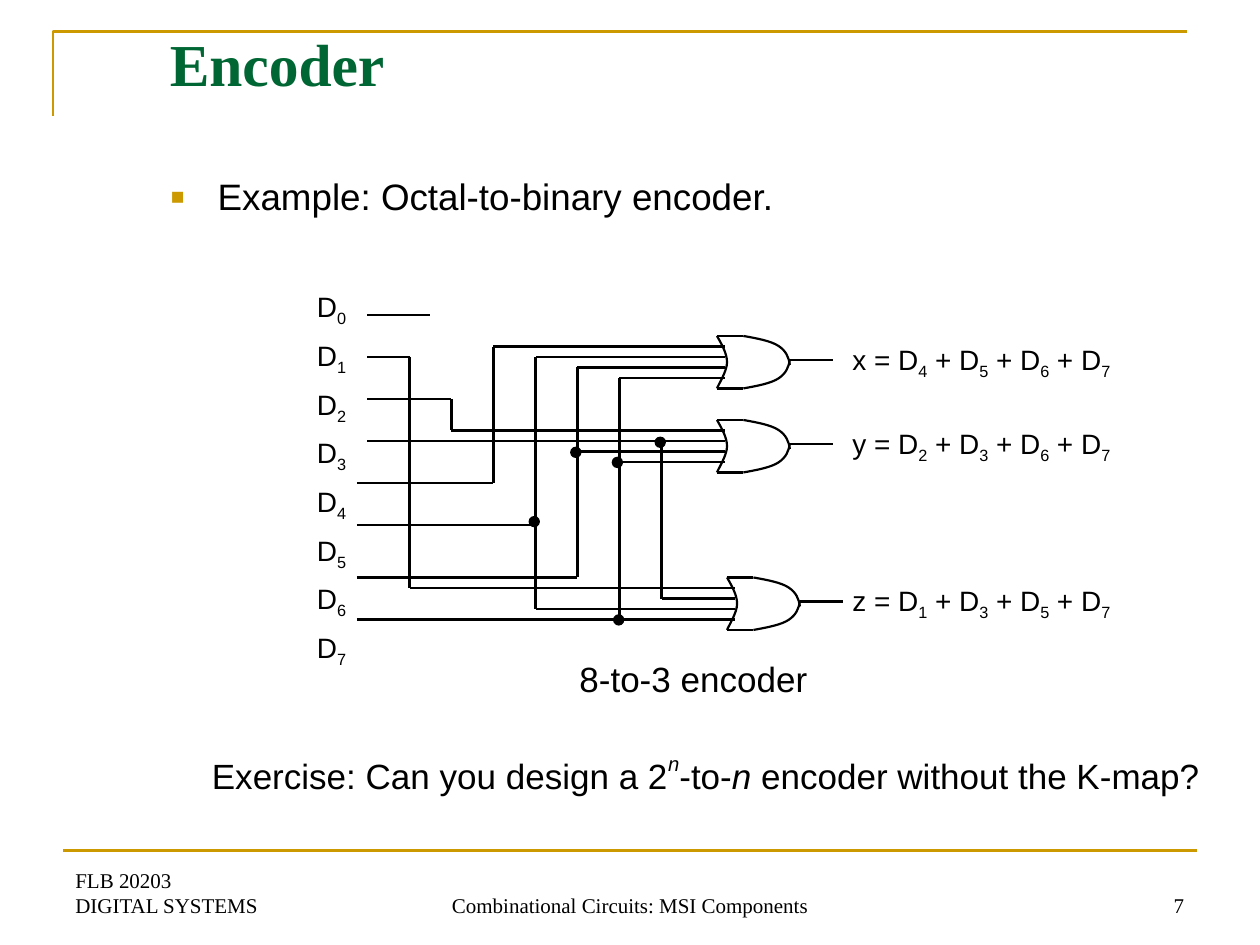
import pptx
import pptx.util
import pptx.dml.color
import pptx.enum.shapes
import pptx.enum.text
from lxml import etree
from pptx.oxml.ns import qn

Inches = pptx.util.Inches
Pt = pptx.util.Pt
ALIGN = pptx.enum.text.PP_ALIGN
ANCHOR = pptx.enum.text.MSO_ANCHOR

BLACK = pptx.dml.color.RGBColor(0x00, 0x00, 0x00)
GREEN = pptx.dml.color.RGBColor(0x00, 0x66, 0x33)
GOLD = pptx.dml.color.RGBColor(0xCC, 0x99, 0x00)

GRID = 12  # grid steps to the inch


def inputs(*nums):
    """Runs for a sum of inputs: D with a lowered number."""
    runs = []
    for num in nums:
        runs += [(" + D" if runs else "D",), (str(num), -25)]
    return runs


class Draw:
    sans = "Arial"
    serif = "Times New Roman"
    wide = 1.25

    def __init__(self, slide):
        self.shapes = slide.shapes

    def text(self, col, row, width, height, paras, size, font=sans,
             color=BLACK, bold=False, align=ALIGN.LEFT, anchor=ANCHOR.TOP,
             gap=0, bullet=False):
        """Place in grid steps; each run is (text, baseline percent, italic)."""
        box = (col / GRID, row / GRID, width, height)
        frame = self.shapes.add_textbox(*map(Inches, box)).text_frame
        frame.word_wrap = True
        frame.vertical_anchor = anchor
        for i, runs in enumerate(paras):
            para = frame.add_paragraph() if i else frame.paragraphs[0]
            para.alignment = align
            if i:
                para.space_before = Pt(gap)
            if bullet:
                self.bullet(para)
            for words, base, slant in ((*r, 0, False)[:3] for r in runs):
                if words == "\n":
                    para.add_line_break()
                    continue
                run = para.add_run()
                run.text = words
                run.font.size = Pt(size)
                run.font.name = font
                run.font.bold = bold
                run.font.italic = slant
                run.font.color.rgb = color
                if base:
                    run.font._element.set("baseline", str(base * 1000))

    def bullet(self, para):
        props = para._p.get_or_add_pPr()
        props.set("marL", str(Inches(0.38)))
        props.set("indent", str(-Inches(0.38)))
        tint = etree.SubElement(props, qn("a:buClr"))
        etree.SubElement(tint, qn("a:srgbClr")).set("val", str(GOLD))
        etree.SubElement(props, qn("a:buSzPct")).set("val", "120000")
        etree.SubElement(props, qn("a:buFont")).set("typeface", self.sans)
        etree.SubElement(props, qn("a:buChar")).set("char", "▪")

    def line(self, a, b, color=BLACK, width=wide):
        """Straight line between two points in inches."""
        line = self.shapes.add_connector(
            pptx.enum.shapes.MSO_CONNECTOR.STRAIGHT, *map(Inches, a + b))
        line.line.color.rgb = color
        line.line.width = Pt(width)
        etree.SubElement(line._element.spPr, qn("a:effectLst"))

    def wire(self, *pts):
        """Lines from point to point, in grid steps."""
        pts = [(x / GRID, y / GRID) for x, y in pts]
        for a, b in zip(pts, pts[1:]):
            self.line(a, b)

    def open(self, pts, color=BLACK, width=wide, round=False):
        """Open outline; if round, each three points make a cubic curve."""
        pts = [(Inches(x), Inches(y)) for x, y in pts]
        pen = self.shapes.build_freeform(*pts[0])
        pen.add_line_segments(pts[1:], close=False)
        shape = pen.convert_to_shape()
        shape.shadow.inherit = False
        shape.fill.background()
        shape.line.color.rgb = color
        shape.line.width = Pt(width)
        if round:
            sides = list(shape._element.iter(qn("a:lnTo")))
            for i in range(0, len(sides), 3):
                cubic = etree.SubElement(sides[i].getparent(),
                                         qn("a:cubicBezTo"))
                for side in sides[i:i + 3]:
                    cubic.append(side[0])
                    side.getparent().remove(side)

    def dot(self, x, y, size=0.08):
        shape = self.shapes.add_shape(
            pptx.enum.shapes.MSO_SHAPE.OVAL,
            *map(Inches, (x, y, size, size)))
        shape.shadow.inherit = False
        shape.fill.solid()
        shape.fill.fore_color.rgb = BLACK
        shape.line.color.rgb = BLACK
        shape.line.width = Pt(0.75)

    def gate(self, x, y):
        """OR gate with its output line."""
        high, flat = 5 / GRID, 0.21
        back = [(0, 0), (0.04, 0.07), (0.08, 0.14), (0.08, 0.21),
                (0.08, 0.28), (0.01, 0.39), (0, high)]
        nose = [(flat, 0), (0.32, 0.02), (0.43, 0.04), (0.49, 0.08),
                (0.55, 0.12), (0.57, 0.17), (0.58, 0.23)]
        under = [(px, high - py) for px, py in nose]
        for part in (back, nose, under):
            self.open([(x + px, y + py) for px, py in part], round=True)
        for edge in (y, y + high):
            self.line((x, edge), (x + flat, edge))
        self.line((x + 0.58, y + 0.19), (x + 0.92, y + 0.19))


def main():
    deck = pptx.Presentation()
    deck.slide_width, deck.slide_height = Inches(10), Inches(7.5)
    draw = Draw(deck.slides.add_slide(deck.slide_layouts[6]))

    # Frame lines and footer
    draw.open([(0.42, 0.92), (0.42, 0.25), (9.42, 0.25)], GOLD, 1.5)
    draw.line((0.5, 6.75), (9.5, 6.75), GOLD, 1.5)
    for col, width, align, runs in (
            (6, 2.33, ALIGN.LEFT,
             [("FLB 20203",), ("\n",), ("DIGITAL SYSTEMS",)]),
            (41, 3.17, ALIGN.CENTER,
             [("Combinational Circuits: MSI Components",)]),
            (86, 2.33, ALIGN.RIGHT, [("7",)])):
        draw.text(col, 82, width, 0.5, [runs], 12, draw.serif,
                  align=align, anchor=ANCHOR.BOTTOM)

    # Title and body text
    draw.text(15, 2, 8.5, 1.25, [[("Encoder",)]], 34, draw.serif, GREEN,
              bold=True)
    draw.text(15, 16, 8.5, 0.67,
              [[("Example: Octal-to-binary encoder.",)]], 21, bullet=True)
    draw.text(19, 71, 8.17, 0.46,
              [[("Exercise: Can you design a 2",), ("n", 50, True),
                ("-to-",), ("n", 0, True),
                (" encoder without the K-map?",)]], 20)
    draw.text(54, 62, 2.25, 0.44, [[("8-to-3 encoder",)]], 20)

    # Input labels
    draw.text(29, 27, 0.48, 3.11, [inputs(n) for n in range(8)], 16, gap=6)

    # Gates and output labels
    for name, x, row, nums in (("x", 5.69, 32, (4, 5, 6, 7)),
                               ("y", 5.69, 40, (2, 3, 6, 7)),
                               ("z", 5.77, 55, (1, 3, 5, 7))):
        draw.gate(x, row / GRID)
        draw.text(80, row, 2.58, 0.41,
                  [[(f"{name} = ",)] + inputs(*nums)], 16)

    # Wires, from D0 down to D7, with their branches
    near, far, end, low = 35, 34, 69, 70
    for pts in (
            [(near, 30), (41, 30)],
            [(near, 34), (39, 34), (39, 56), (low, 56)],
            [(near, 38), (43, 38), (43, 41), (end, 41)],
            [(near, 42), (end, 42)],
            [(63, 42), (63, 57), (low, 57)],
            [(far, 46), (47, 46), (47, 33), (end, 33)],
            [(far, 50), (51, 50)],
            [(end, 34), (51, 34), (51, 58), (low, 58)],
            [(far, 55), (55, 55), (55, 35), (end, 35)],
            [(55, 43), (end, 43)],
            [(far, 59), (low, 59)],
            [(59, 59), (59, 36), (end, 36)],
            [(59, 44), (end, 44)]):
        draw.wire(*pts)

    # Junctions
    for x, y in ((4.2, 4.1), (4.53, 3.55), (4.86, 3.63), (4.87, 4.88),
                 (5.2, 3.47)):
        draw.dot(x, y)

    deck.save("out.pptx")


if __name__ == "__main__":
    main()
